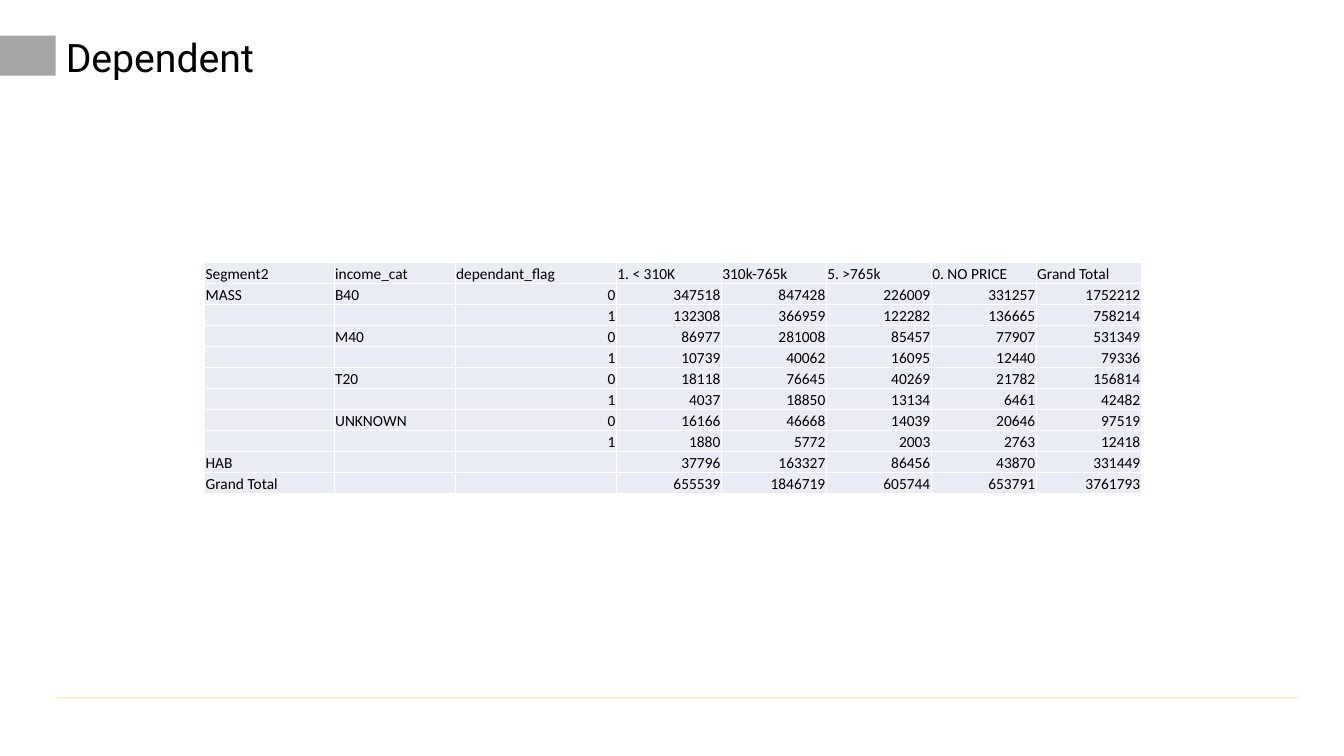
from lxml.etree import SubElement
from pptx import Presentation
from pptx.dml.color import RGBColor
from pptx.enum.shapes import MSO_CONNECTOR, MSO_SHAPE
from pptx.enum.text import MSO_ANCHOR as ANCHOR, PP_ALIGN as ALIGN
from pptx.oxml.ns import qn
from pptx.util import Pt

COLORS = {"text": "000000", "bar": "A6A6A6", "rule": "FFF2CC",
          "cell": "E9EBF5", "border": "FFFFFF"}
COL_WIDTHS = [92.5, 86.4, 115.2] + [75] * 5
ROW_HEIGHT = 15
ROWS = [
    ["Segment2", "income_cat", "dependant_flag", "1. < 310K", "310k-765k",
     "5. >765k", "0. NO PRICE", "Grand Total"],
    ["MASS", "B40", 0, 347518, 847428, 226009, 331257, 1752212],
    ["", "", 1, 132308, 366959, 122282, 136665, 758214],
    ["", "M40", 0, 86977, 281008, 85457, 77907, 531349],
    ["", "", 1, 10739, 40062, 16095, 12440, 79336],
    ["", "T20", 0, 18118, 76645, 40269, 21782, 156814],
    ["", "", 1, 4037, 18850, 13134, 6461, 42482],
    ["", "UNKNOWN", 0, 16166, 46668, 14039, 20646, 97519],
    ["", "", 1, 1880, 5772, 2003, 2763, 12418],
    ["HAB", "", "", 37796, 163327, 86456, 43870, 331449],
    ["Grand Total", "", "", 655539, 1846719, 605744, 653791, 3761793],
]


def rgb(name):
    return RGBColor.from_string(COLORS[name])


def write(tf, text, font, size, align=ALIGN.LEFT, spacing=None):
    p = tf.paragraphs[0]
    p.alignment = align
    p.line_spacing = spacing
    if not text:
        SubElement(p._p, qn("a:endParaRPr"), sz=str(size * 100))
        return
    r = p.add_run()
    r.text = text
    r.font.name = font
    r.font.size = Pt(size)
    r.font.color.rgb = rgb("text")


def add_rule(slide, x1, x2, y):
    line = slide.shapes.add_connector(MSO_CONNECTOR.STRAIGHT, Pt(x1), Pt(y), Pt(x2), Pt(y))
    line.line.color.rgb = rgb("rule")
    line.line.width = Pt(1.75)
    SubElement(line._element.spPr, qn("a:effectLst"))


def add_bar(slide, x, y, w, h):
    sp = slide.shapes.add_shape(MSO_SHAPE.RECTANGLE, Pt(x), Pt(y), Pt(w), Pt(h))
    sp.shadow.inherit = False
    sp.fill.solid()
    sp.fill.fore_color.rgb = rgb("bar")
    sp.line.fill.background()


def set_title(slide, text, x, y, w, h):
    sp = slide.shapes.title
    sp.left, sp.top, sp.width, sp.height = Pt(x), Pt(y), Pt(w), Pt(h)
    sp.text_frame.vertical_anchor = ANCHOR.MIDDLE
    write(sp.text_frame, text, "Roboto", 28, spacing=0.9)


def add_borders(cell):
    tc_pr = cell._tc.get_or_add_tcPr()
    for side in ("lnL", "lnR", "lnT", "lnB"):
        ln = SubElement(tc_pr, qn(f"a:{side}"), w=str(Pt(1)))
        fill = SubElement(ln, qn("a:solidFill"))
        SubElement(fill, qn("a:srgbClr"), val=COLORS["border"])


def fill_cell(cell, value):
    cell.margin_left = cell.margin_right = cell.margin_top = Pt(0.7)
    cell.margin_bottom = 0
    cell.vertical_anchor = ANCHOR.BOTTOM
    add_borders(cell)
    cell.fill.solid()
    cell.fill.fore_color.rgb = rgb("cell")
    align = ALIGN.RIGHT if isinstance(value, int) else ALIGN.LEFT
    write(cell.text_frame, str(value), "Calibri", 11, align=align)


def add_data_table(slide, rows, x, y):
    frame = slide.shapes.add_table(len(rows), len(COL_WIDTHS), Pt(x), Pt(y),
                                   Pt(sum(COL_WIDTHS)), Pt(ROW_HEIGHT * len(rows)))
    table = frame.table
    table.first_row = table.horz_banding = False
    for col, width in zip(table.columns, COL_WIDTHS):
        col.width = Pt(width)
    for i, values in enumerate(rows):
        table.rows[i].height = Pt(ROW_HEIGHT)
        for j, value in enumerate(values):
            fill_cell(table.cell(i, j), value)


def main():
    prs = Presentation()
    prs.slide_width, prs.slide_height = Pt(960), Pt(540)
    slide = prs.slides.add_slide(prs.slide_layouts[5])
    add_rule(slide, 39.9, 927.5, 498.7)
    add_bar(slide, 0, 25.4, 39.8, 28.6)
    set_title(slide, "Dependent", 39.8, 19.4, 854, 46)
    add_data_table(slide, ROWS, 146.2, 187.5)
    prs.save("out.pptx")


if __name__ == "__main__":
    main()
